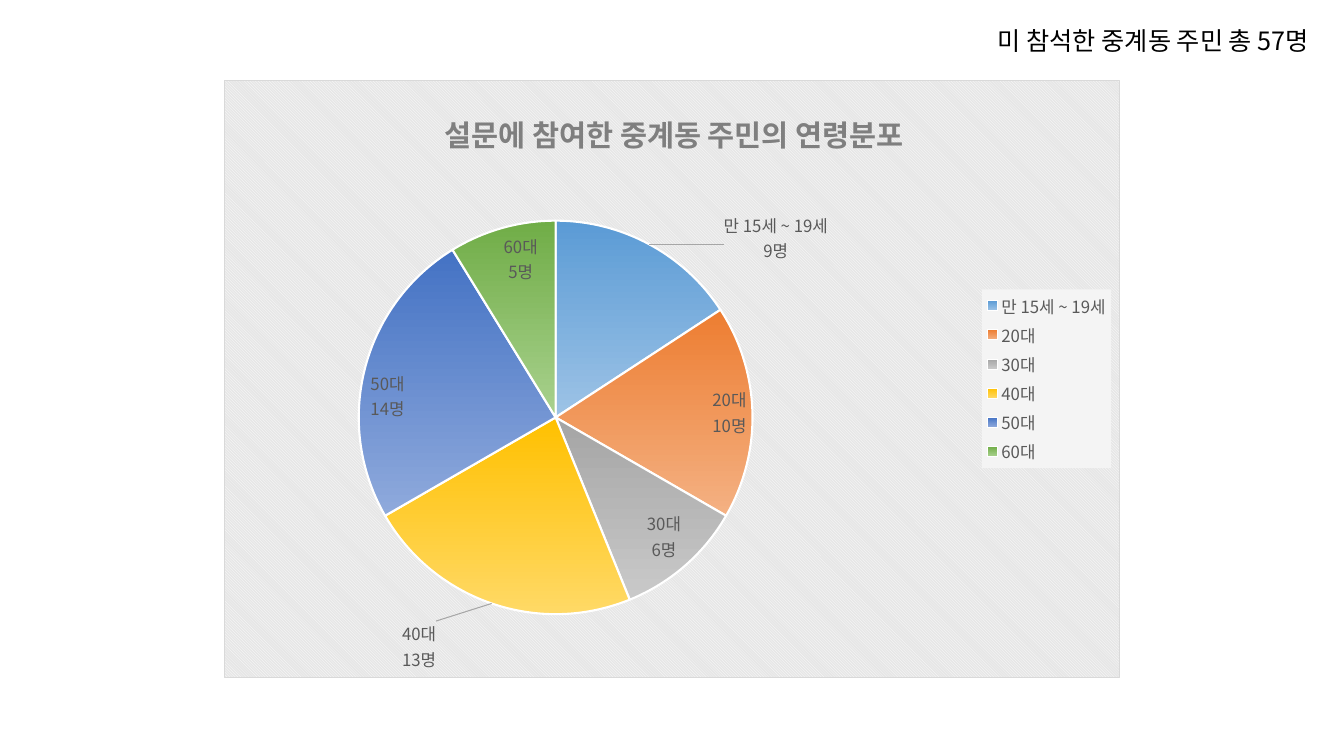
from copy import deepcopy
from dataclasses import dataclass

from pptx import Presentation
from pptx.chart.data import CategoryChartData
from pptx.dml.color import RGBColor
from pptx.enum.chart import XL_CHART_TYPE, XL_LABEL_POSITION, XL_LEGEND_POSITION
from pptx.enum.text import MSO_AUTO_SIZE
from pptx.oxml import parse_xml
from pptx.oxml.ns import nsdecls, qn
from pptx.util import Pt

PIE = XL_CHART_TYPE.PIE
INSIDE_END = XL_LABEL_POSITION.INSIDE_END
LEGEND_RIGHT = XL_LEGEND_POSITION.RIGHT
FIT_TEXT = MSO_AUTO_SIZE.SHAPE_TO_FIT_TEXT
NAMESPACES = nsdecls("c", "a")


@dataclass(frozen=True)
class Theme:
    font: str = "Noto Sans CJK KR"
    ink: str = "000000"
    title: str = "7F7F7F"
    label: str = "595959"
    edge: str = "FFFFFF"
    stripe: str = "E6E6E6"
    border: str = "D9D9D9"
    leader: str = "A6A6A6"
    legend: str = "F4F4F4"
    title_size: float = 21
    note_size: float = 18
    label_size: float = 12
    chart_size: float = 10


@dataclass(frozen=True)
class AgeGroup:
    name: str
    people: int
    top_color: str
    bottom_color: str
    label_shift: tuple[float, float] | None = None


THEME = Theme()
AGE_GROUPS = [
    AgeGroup("만 15세 ~ 19세", 9, "5B9BD5", "9DC3E6", (0.08, 0.04)),
    AgeGroup("20대", 10, "ED7D31", "F4B183"),
    AgeGroup("30대", 6, "A5A5A5", "C9C9C9"),
    AgeGroup("40대", 13, "FFC000", "FFD966", (-0.06, 0.02)),
    AgeGroup("50대", 14, "4472C4", "8FAADC"),
    AgeGroup("60대", 5, "70AD47", "A9D18E"),
]


def style_font(font, size: float, color: str, bold: bool = False) -> None:
    font.name = THEME.font
    font.size = Pt(size)
    font.bold = bold
    font.color.rgb = RGBColor.from_string(color)


def add_east_asian_fonts(element) -> None:
    """Give Korean glyphs the same typeface as each Latin font setting."""
    for latin in list(element.iter(qn("a:latin"))):
        latin.addnext(parse_xml(f'<a:ea {NAMESPACES} typeface="{THEME.font}"/>'))


def set_layout(parent, index: int, **fractions: float) -> None:
    """Place a chart part manually, in fractions of the chart size."""
    for old_layout in parent.findall(qn("c:layout")):
        parent.remove(old_layout)
    target = '<c:layoutTarget val="inner"/>' if "w" in fractions else ""
    modes = "".join(f'<c:{key}Mode val="edge"/>' for key in "xy") if parent.tag != qn("c:dLbl") else ""
    values = "".join(f'<c:{key} val="{value}"/>' for key, value in fractions.items())
    parent.insert(index, parse_xml(
        f"<c:layout {NAMESPACES}><c:manualLayout>{target}{modes}{values}</c:manualLayout></c:layout>"))


def add_title(chart) -> None:
    frame = chart.chart_title.text_frame
    run = frame.paragraphs[0].add_run()
    run.text = "설문에 참여한 중계동 주민의 연령분포"
    style_font(run.font, THEME.title_size, THEME.title, bold=True)
    chart.chart_title.include_in_layout = False
    title = chart._chartSpace.find(f".//{qn('c:title')}")
    set_layout(title, 1, x=0.24, y=0.04)


def add_legend(chart) -> None:
    chart.has_legend = True
    legend = chart.legend
    legend.position = LEGEND_RIGHT
    legend.include_in_layout = False
    style_font(legend.font, THEME.label_size, THEME.label)
    element = chart._chartSpace.find(f".//{qn('c:legend')}")
    element.find(qn("c:txPr")).addprevious(parse_xml(
        f'<c:spPr {NAMESPACES}><a:solidFill><a:srgbClr val="{THEME.legend}"/></a:solidFill></c:spPr>'))


def add_labels(series) -> None:
    """Label slices inside, and move the shifted ones out on leader lines."""
    labels = series.data_labels
    labels.show_value = True
    labels.show_category_name = True
    labels.number_format = '0"명"'
    labels.number_format_is_linked = False
    labels.position = INSIDE_END
    style_font(labels.font, THEME.label_size, THEME.label)

    element = series._element.find(qn("c:dLbls"))
    for old_setting in element.findall(qn("c:showLeaderLines")):
        element.remove(old_setting)
    element.append(parse_xml(f"<c:separator {NAMESPACES}>\n</c:separator>"))
    settings = list(element)
    shifted = [(i, g.label_shift) for i, g in enumerate(AGE_GROUPS) if g.label_shift]
    for position, (index, (x, y)) in enumerate(shifted):
        label = parse_xml(f'<c:dLbl {NAMESPACES}><c:idx val="{index}"/></c:dLbl>')
        label.extend(deepcopy(setting) for setting in settings)
        label.find(qn("c:dLblPos")).set("val", "outEnd")
        set_layout(label, 1, x=x, y=y)
        element.insert(position, label)
    element.append(parse_xml(f'<c:showLeaderLines {NAMESPACES} val="1"/>'))
    element.append(parse_xml(
        f'<c:leaderLines {NAMESPACES}><c:spPr><a:ln w="{Pt(0.75)}"><a:solidFill>'
        f'<a:srgbClr val="{THEME.leader}"/></a:solidFill></a:ln></c:spPr></c:leaderLines>'))


def color_slices(series) -> None:
    for index, group in enumerate(AGE_GROUPS):
        slice_format = series.points[index].format
        fill = slice_format.fill
        fill.gradient()
        fill.gradient_angle = 270
        for stop, color in zip(fill.gradient_stops, (group.top_color, group.bottom_color)):
            stop.color.rgb = RGBColor.from_string(color)
        slice_format.line.color.rgb = RGBColor.from_string(THEME.edge)
        slice_format.line.width = Pt(1.5)


def add_background(chart) -> None:
    chart._chartSpace.find(qn("c:chart")).addnext(parse_xml(
        f'<c:spPr {NAMESPACES}><a:pattFill prst="dkDnDiag">'
        f'<a:fgClr><a:srgbClr val="{THEME.edge}"/></a:fgClr>'
        f'<a:bgClr><a:srgbClr val="{THEME.stripe}"/></a:bgClr></a:pattFill>'
        f'<a:ln w="{Pt(0.75)}"><a:solidFill><a:srgbClr val="{THEME.border}"/>'
        "</a:solidFill></a:ln></c:spPr>"))


def add_age_chart(slide) -> None:
    data = CategoryChartData()
    data.categories = [group.name for group in AGE_GROUPS]
    data.add_series("Series 1", [group.people for group in AGE_GROUPS])
    chart = slide.shapes.add_chart(PIE, Pt(160), Pt(57), Pt(640), Pt(427), data).chart
    style_font(chart.font, THEME.chart_size, THEME.ink)
    plot = chart.plots[0]
    plot.vary_by_categories = True
    add_title(chart)
    add_legend(chart)
    color_slices(plot.series[0])
    add_labels(plot.series[0])
    add_background(chart)
    plot_area = chart._chartSpace.find(f".//{qn('c:plotArea')}")
    set_layout(plot_area, 0, x=0.15, y=0.23, w=0.44, h=0.67)
    add_east_asian_fonts(chart._chartSpace)


def add_note(slide) -> None:
    box = slide.shapes.add_textbox(Pt(705.6), Pt(14.4), Pt(266.4), Pt(28.8))
    frame = box.text_frame
    frame.word_wrap = False
    frame.auto_size = FIT_TEXT
    run = frame.paragraphs[0].add_run()
    run.text = "미 참석한 중계동 주민 총 57명"
    style_font(run.font, THEME.note_size, THEME.ink)
    add_east_asian_fonts(box._element)


def main() -> None:
    presentation = Presentation()
    presentation.slide_width = Pt(960)
    presentation.slide_height = Pt(540)
    slide = presentation.slides.add_slide(presentation.slide_layouts[6])
    add_age_chart(slide)
    add_note(slide)
    presentation.save("out.pptx")


if __name__ == "__main__":
    main()
